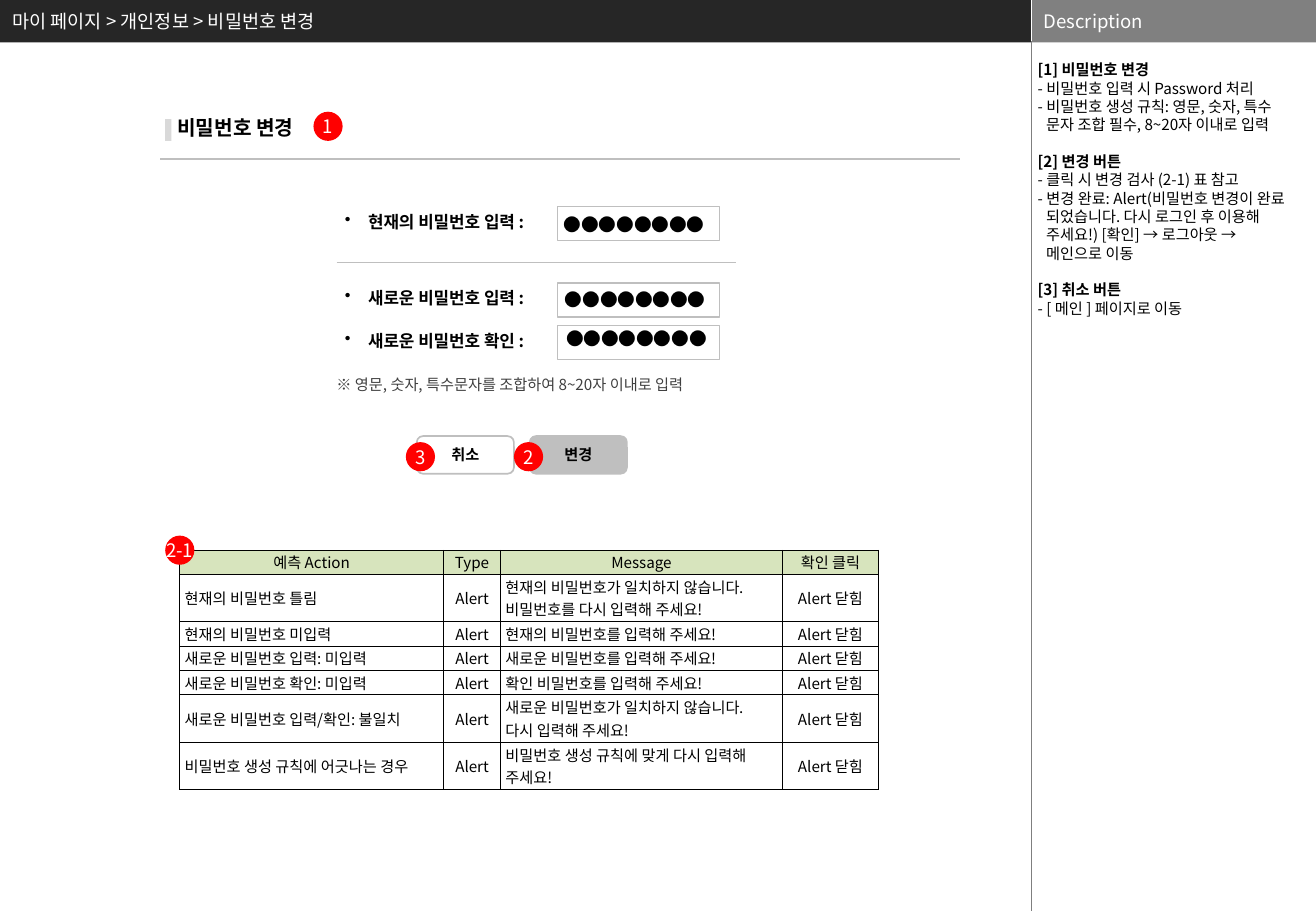
import lxml.etree
import pptx
import pptx.dml.color
import pptx.enum.shapes
import pptx.enum.text
import pptx.oxml.ns
import pptx.util

PX = 9144
LEFT = pptx.enum.text.PP_ALIGN.LEFT
CENTER = pptx.enum.text.PP_ALIGN.CENTER
MIDDLE = pptx.enum.text.MSO_ANCHOR.MIDDLE
FIT = pptx.enum.text.MSO_AUTO_SIZE.SHAPE_TO_FIT_TEXT
SHAPES = pptx.enum.shapes.MSO_SHAPE
qn = pptx.oxml.ns.qn

THEME = {
    "font": "Noto Sans CJK KR",
    "black": "000000", "white": "FFFFFF", "bar": "262626", "panel": "808080",
    "divider": "7F7F7F", "border": "BFBFBF", "accent": "D9D9D9",
    "note": "404040", "badge": "FF0000", "table_head": "D7E4BD",
    "header": 11, "section": 12, "label": 10, "mask": 10.5, "body": 9,
    "description_line": 10.85,
}


def rgb(name):
    return pptx.dml.color.RGBColor.from_string(THEME[name])


def write(frame, text, size, color="black", bold=False, alignment=LEFT, **frame_format):
    for name, value in frame_format.items():
        setattr(frame, name, value)
    frame.text = text
    for paragraph in frame.paragraphs:
        paragraph.alignment = alignment
        for run in paragraph.runs:
            font_format = {"name": THEME["font"], "size": pptx.util.Pt(THEME[size]), "bold": bold}
            for name, value in font_format.items():
                setattr(run.font, name, value)
            run.font.color.rgb = rgb(color)
            east_asian = lxml.etree.SubElement(run.font._element, qn("a:ea"))
            east_asian.set("typeface", THEME["font"])


presentation = pptx.Presentation()
presentation.slide_width = 1083 * PX
presentation.slide_height = 750 * PX
slide = presentation.slides.add_slide(presentation.slide_layouts[5])

title = slide.shapes.title
for name, value in {"left": 0, "top": 0, "width": 849 * PX, "height": 35 * PX}.items():
    setattr(title, name, value)
title.fill.solid()
title.fill.fore_color.rgb = rgb("bar")
write(title.text_frame, "마이 페이지 > 개인정보 > 비밀번호 변경", "header", "white",
      vertical_anchor=MIDDLE, word_wrap=True, auto_size=pptx.enum.text.MSO_AUTO_SIZE.NONE)

FIELDS = [
    ("현재의 비밀번호 입력 :", 170, 454, 171),
    ("새로운 비밀번호 입력 :", 233, 455, 233),
    ("새로운 비밀번호 확인 :", 268, 456, 265),
]

header = {"size": "header", "color": "white", "vertical_anchor": MIDDLE}
button = {"size": "body", "bold": True, "alignment": CENTER, "vertical_anchor": MIDDLE}
badge = {"size": "header", "color": "white", "alignment": CENTER, "vertical_anchor": MIDDLE,
         "word_wrap": False, "margin_left": 0, "margin_right": 0, "margin_top": 0, "margin_bottom": 0}
boxes = [
    (SHAPES.RECTANGLE, (849, 0, 234, 35), "panel", None, 0, "Description", header),
    (SHAPES.RECTANGLE, (136, 98, 5, 18), "accent", None, 0, "", None),
    (SHAPES.ROUNDED_RECTANGLE, (436, 359, 80, 31), "border", "border", 1, "변경", button),
    (SHAPES.ROUNDED_RECTANGLE, (343, 359, 80, 31), "white", "border", 1, "취소", button),
]
for label, top, mask_left, mask_top in FIELDS:
    boxes.append((SHAPES.RECTANGLE, (459, top, 133, 28), "white", "border", 0.75, "", None))

table_frame = slide.shapes.add_table(7, 4, 148 * PX, 453 * PX, 575 * PX, 197 * PX)
for text, left, top in [("1", 258, 92), ("2", 423, 364), ("3", 334, 364), ("2-1", 136, 441)]:
    boxes.append((SHAPES.OVAL, (left, top, 24, 24), "badge", None, 0, text, badge))

for kind, place, fill, line, weight, text, text_format in boxes:
    shape = slide.shapes.add_shape(kind, *[length * PX for length in place])
    shape.shadow.inherit = False
    shape.fill.solid()
    shape.fill.fore_color.rgb = rgb(fill)
    if line:
        shape.line.color.rgb = rgb(line)
        shape.line.width = pptx.util.Pt(weight)
    else:
        shape.line.fill.background()
    if text:
        write(shape.text_frame, text, **text_format)

for left, top, right, bottom, color, weight in [
    (849, 0, 849, 35, "white", 0.25),
    (849, 34, 849, 750, "divider", 0.25),
    (277, 216, 606, 216, "border", 0.75),
    (132, 131, 790, 131, "border", 0.75),
]:
    connector = slide.shapes.add_connector(
        pptx.enum.shapes.MSO_CONNECTOR.STRAIGHT, left * PX, top * PX, right * PX, bottom * PX)
    connector.line.color.rgb = rgb(color)
    connector.line.width = pptx.util.Pt(weight)
    lxml.etree.SubElement(connector._element.spPr, qn("a:effectLst"))

section = slide.shapes.add_textbox(136 * PX, 90 * PX, 272 * PX, 30 * PX)
write(section.text_frame, "비밀번호 변경", "section", bold=True, word_wrap=True, auto_size=FIT)

note = slide.shapes.add_textbox(267 * PX, 304 * PX, 354 * PX, 40 * PX)
write(note.text_frame, "※ 영문, 숫자, 특수문자를 조합하여 8~20자 이내로 입력", "body", "note",
      word_wrap=True, auto_size=FIT)

for label, top, mask_left, mask_top in FIELDS:
    caption = slide.shapes.add_textbox(274 * PX, (top - 1) * PX, 189 * PX, 27 * PX)
    write(caption.text_frame, label, "label", bold=True, word_wrap=False, auto_size=FIT)
    properties = caption.text_frame.paragraphs[0]._p.get_or_add_pPr()
    properties.set("marL", str(19 * PX))
    properties.set("indent", str(-19 * PX))
    lxml.etree.SubElement(properties, qn("a:buChar")).set("char", "•")
    mask = slide.shapes.add_textbox(mask_left * PX, mask_top * PX, 138 * PX, 28 * PX)
    write(mask.text_frame, "●" * 8, "mask", word_wrap=False, auto_size=FIT)

DESCRIPTION = [
    "[1] 비밀번호 변경",
    "- 비밀번호 입력 시 Password 처리",
    "- 비밀번호 생성 규칙: 영문, 숫자, 특수\v문자 조합 필수, 8~20자 이내로 입력",
    "[2] 변경 버튼",
    "- 클릭 시 변경 검사 (2-1) 표 참고",
    "- 변경 완료: Alert(비밀번호 변경이 완료\v되었습니다. 다시 로그인 후 이용해\v"
    "주세요!) [확인] → 로그아웃 →\v메인으로 이동",
    "[3] 취소 버튼",
    "- [ 메인 ] 페이지로 이동",
]
description = slide.shapes.add_textbox(850 * PX, 50 * PX, 233 * PX, 700 * PX)
write(description.text_frame, "\n".join(DESCRIPTION), "body", word_wrap=True,
      margin_left=4 * PX, margin_right=4 * PX, margin_top=0, margin_bottom=0)
line_height = pptx.util.Pt(THEME["description_line"])
for index, paragraph in enumerate(description.text_frame.paragraphs):
    paragraph.line_spacing = line_height
    if paragraph.text.startswith("["):
        paragraph.runs[0].font.bold = True
        if index:
            paragraph.space_before = line_height
    else:
        properties = paragraph._p.get_or_add_pPr()
        properties.set("marL", str(7 * PX))
        properties.set("indent", str(-7 * PX))

ACTIONS = [
    ("현재의 비밀번호 틀림", "현재의 비밀번호가 일치하지 않습니다.\n비밀번호를 다시 입력해 주세요!"),
    ("현재의 비밀번호 미입력", "현재의 비밀번호를 입력해 주세요!"),
    ("새로운 비밀번호 입력: 미입력", "새로운 비밀번호를 입력해 주세요!"),
    ("새로운 비밀번호 확인: 미입력", "확인 비밀번호를 입력해 주세요!"),
    ("새로운 비밀번호 입력/확인: 불일치", "새로운 비밀번호가 일치하지 않습니다.\n다시 입력해 주세요!"),
    ("비밀번호 생성 규칙에 어긋나는 경우", "비밀번호 생성 규칙에 맞게 다시 입력해 주세요!"),
]
rows = [("예측 Action", "Type", "Message", "확인 클릭")]
rows += [(action, "Alert", message, "Alert 닫힘") for action, message in ACTIONS]
table = table_frame.table
table.first_row = False
table.horz_banding = False
for column, width in zip(table.columns, [217, 47, 232, 79]):
    column.width = width * PX
for row, height in zip(table.rows, [20, 39, 20, 20, 20, 39, 39]):
    row.height = height * PX

cell_format = {"margin_left": 4 * PX, "margin_right": 4 * PX, "margin_top": 0,
               "margin_bottom": 0, "vertical_anchor": MIDDLE}
for row_index, texts in enumerate(rows):
    for column_index, text in enumerate(texts):
        cell = table.cell(row_index, column_index)
        for name, value in cell_format.items():
            setattr(cell, name, value)
        centered = row_index == 0 or column_index in (1, 3)
        write(cell.text_frame, text, "body", alignment=CENTER if centered else LEFT)
        if row_index == 0:
            cell.fill.solid()
            cell.fill.fore_color.rgb = rgb("table_head")
        else:
            cell.fill.background()
        for position, side in enumerate(["a:lnL", "a:lnR", "a:lnT", "a:lnB"]):
            border = lxml.etree.Element(qn(side), w=str(pptx.util.Pt(0.5)))
            border_fill = lxml.etree.SubElement(border, qn("a:solidFill"))
            lxml.etree.SubElement(border_fill, qn("a:srgbClr")).set("val", THEME["black"])
            cell._tc.get_or_add_tcPr().insert(position, border)

presentation.save("out.pptx")
